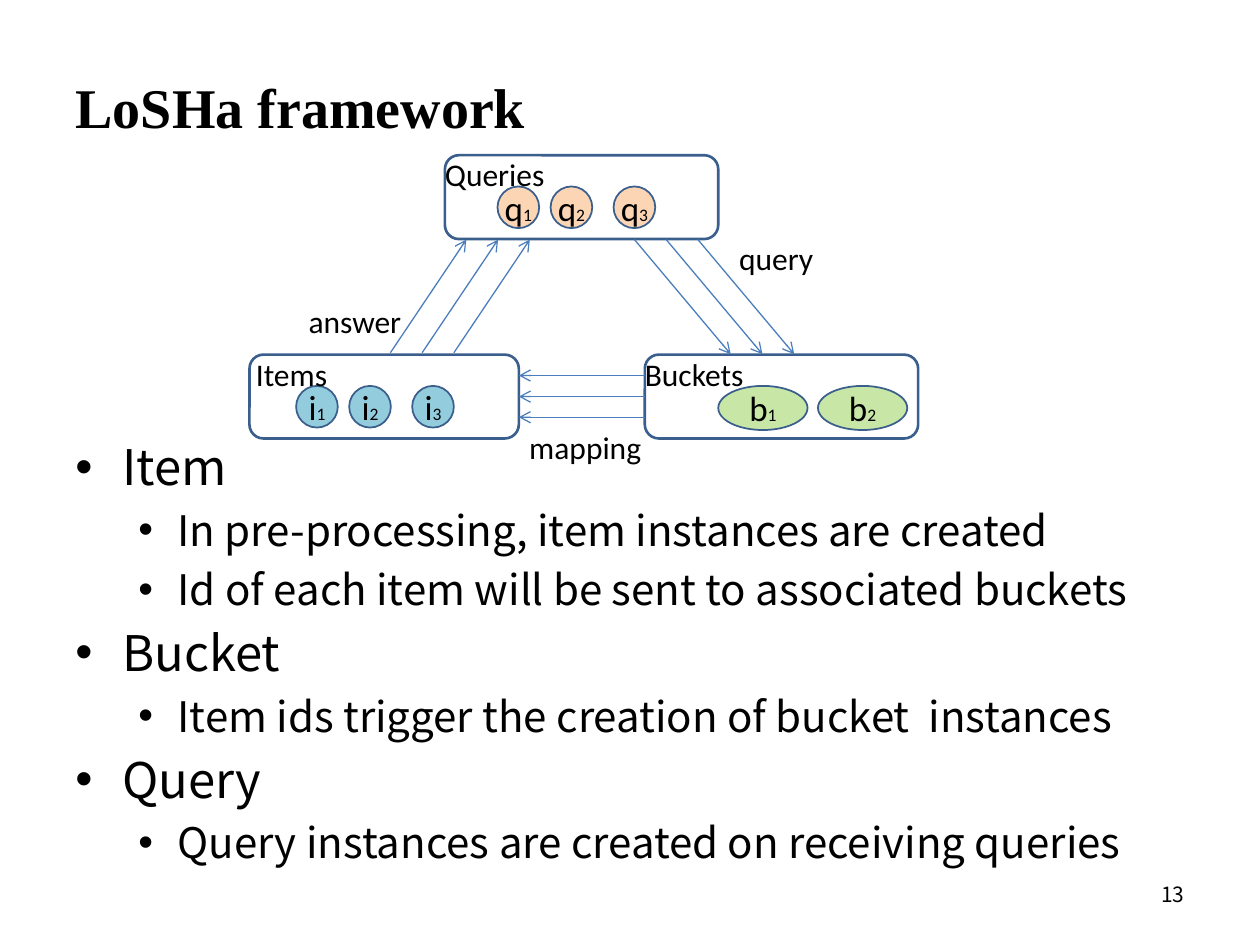
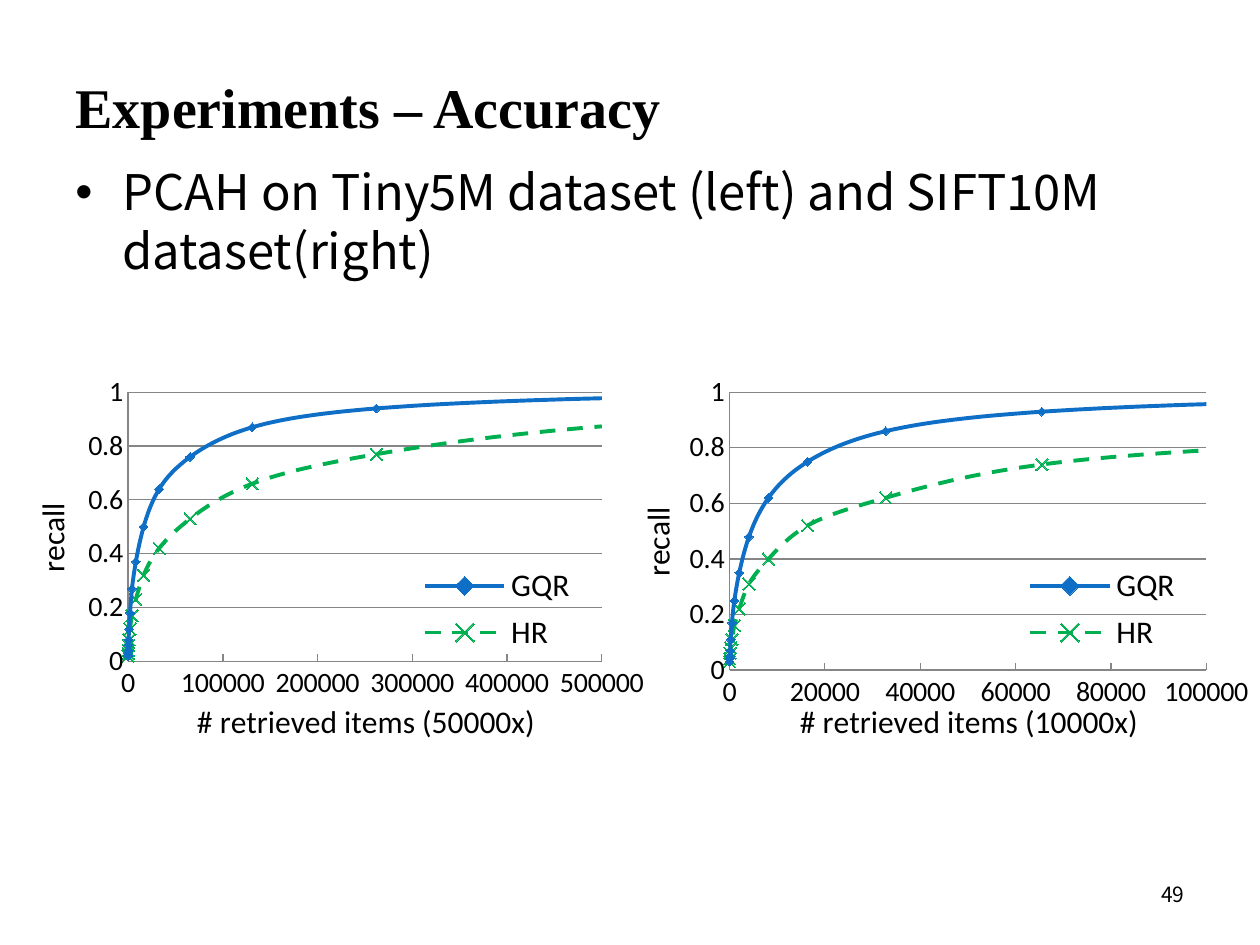
"""Build the LoSHa framework slide and the accuracy experiment slide."""
import lxml.etree
import pptx
import pptx.chart.data
import pptx.dml.color
import pptx.enum.chart
import pptx.enum.dml
import pptx.enum.shapes
import pptx.enum.text
import pptx.oxml.ns
import pptx.util

Cm, Pt, qn = pptx.util.Cm, pptx.util.Pt, pptx.oxml.ns.qn
ALIGN = pptx.enum.text.PP_ALIGN
MIDDLE = pptx.enum.text.MSO_ANCHOR.MIDDLE
SHAPE = pptx.enum.shapes.MSO_SHAPE

TITLE_FONT, BODY_FONT, DIAGRAM_FONT = "Times New Roman", "Noto Sans CJK SC", "Calibri"
BLACK, OUTLINE, ARROW, GRID = "000000", "3A5F8C", "4B7EBC", "868686"
BULLET_LEVELS = [(28, 0.95, 0.95), (24, 2.06, 0.79)]

FRAMEWORK = {
    "title": "LoSHa framework",
    "number": "13",
    "body_top": 8.68,
    "bullets": [
        (0, "Item"),
        (1, "In pre-processing, item instances are created"),
        (1, "Id of each item will be sent to associated buckets"),
        (0, "Bucket"),
        (1, "Item ids trigger the creation of bucket  instances"),
        (0, "Query"),
        (1, "Query instances are created on receiving queries"),
    ],
}
ACCURACY = {
    "title": "Experiments – Accuracy",
    "number": "49",
    "body_top": 3.14,
    "bullets": [(0, "PCAH on Tiny5M dataset (left) and SIFT10M dataset(right)")],
}

BOX_HEIGHT = 1.69
BOXES = [
    {"name": "Queries", "at": (8.97, 3.13), "width": 5.51, "name_indent": 0, "letter": "q",
     "fill": "FCD5B5", "alpha": 100, "node_size": (0.84, 0.84), "offsets": [1.06, 2.13, 3.4]},
    {"name": "Buckets", "at": (13, 7.15), "width": 5.51, "name_indent": 0, "letter": "b",
     "fill": "92D050", "alpha": 50, "node_size": (1.8, 0.89), "offsets": [1.48, 3.49]},
    {"name": "Items", "at": (5.03, 7.15), "width": 5.43, "name_indent": 0.13, "letter": "i",
     "fill": "93CDDD", "alpha": 100, "node_size": (0.84, 0.84), "offsets": [0.94, 2.01, 3.28]},
]
FLOWS = [
    {"name": "query", "label": (14.9, 4.81), "start": (12.79, 4.83), "end": (14.73, 7.14),
     "step": (0.64, 0)},
    {"name": "mapping", "label": (10.67, 8.62), "start": (13, 7.57), "end": (10.46, 7.57),
     "step": (0, 0.42), "joins": ("Buckets", "Items")},
    {"name": "answer", "label": (6.22, 6.08), "start": (7.87, 7.11), "end": (9.4, 4.83),
     "step": (0.64, 0)},
]

CHARTS = [
    {"left": 0.5, "x_title": "# retrieved items (50000x)", "x_max": 500000,
     "plot": (0.164, 0.051, 0.752, 0.712),
     "retrieved": [2 ** power for power in range(24)],
     "GQR": [0.02, 0.02, 0.02, 0.02, 0.02, 0.02, 0.03, 0.04, 0.06, 0.08, 0.12, 0.18, 0.27,
             0.37, 0.5, 0.64, 0.76, 0.87, 0.94, 0.98, 1, 1, 1, 1],
     "HR": [0.02, 0.02, 0.02, 0.02, 0.02, 0.02, 0.02, 0.03, 0.04, 0.06, 0.08, 0.12, 0.17,
            0.23, 0.32, 0.42, 0.53, 0.66, 0.77, 0.88, 0.95, 0.99, 1, 1]},
    {"left": 12.7, "x_title": "# retrieved items (10000x)", "x_max": 100000,
     "plot": (0.158, 0.051, 0.757, 0.735),
     "retrieved": [2 ** power for power in range(24)] + [10000000],
     "GQR": [0.03, 0.03, 0.03, 0.03, 0.03, 0.04, 0.05, 0.07, 0.11, 0.17, 0.25, 0.35, 0.48,
             0.62, 0.75, 0.86, 0.93, 0.97, 0.99, 1, 1, 1, 1, 1, 1],
     "HR": [0.03, 0.03, 0.03, 0.03, 0.03, 0.03, 0.04, 0.06, 0.08, 0.11, 0.16, 0.22, 0.31,
            0.4, 0.52, 0.62, 0.74, 0.82, 0.9, 0.95, 0.98, 1, 1, 1, 1]},
]
MARKERS = pptx.enum.chart.XL_MARKER_STYLE
DASHES = pptx.enum.dml.MSO_LINE
SERIES_STYLES = {
    "GQR": ("0F6FC6", DASHES.SOLID, MARKERS.DIAMOND, 5),
    "HR": ("00B050", DASHES.DASH, MARKERS.X, 7),
}
LEGEND = (0.62, 0.49, 0.26, 0.27)


def color(value):
    """Turn a hex string into a colour."""
    return pptx.dml.color.RGBColor.from_string(value)


def style_font(font, name, size, bold=False):
    """Set the face, size and weight of black text."""
    font.name, font.size, font.bold = name, Pt(size), bold
    font.color.rgb = color(BLACK)


def style_line(line, value, width):
    """Set a line's colour and width."""
    line.color.rgb = color(value)
    line.width = Pt(width)


def add_run(paragraph, text, name, size, bold=False):
    """Append one formatted run."""
    run = paragraph.add_run()
    run.text = text
    style_font(run.font, name, size, bold)


def clear_insets(frame):
    """Remove all inner margins of a text frame."""
    frame.margin_left = frame.margin_top = frame.margin_right = frame.margin_bottom = 0


def add_text_box(slide, left, top, width, height):
    """Add a wrapping text box and return its frame."""
    frame = slide.shapes.add_textbox(Cm(left), Cm(top), Cm(width), Cm(height)).text_frame
    frame.word_wrap = True
    return frame


def add_label(slide, text, left, top):
    """Add a diagram label without margins."""
    frame = add_text_box(slide, left, top, 2.54, 0.76)
    clear_insets(frame)
    add_run(frame.paragraphs[0], text, DIAGRAM_FONT, 18)


def add_bullets(slide, bullets, top):
    """Add the two-level bulleted body text."""
    frame = add_text_box(slide, 1.27, top, 22.86, 17.12 - top)
    for index, (level, text) in enumerate(bullets):
        paragraph = frame.add_paragraph() if index else frame.paragraphs[0]
        size, margin, hanging = BULLET_LEVELS[level]
        properties = paragraph._p.get_or_add_pPr()
        properties.set("marL", str(Cm(margin)))
        properties.set("indent", str(-Cm(hanging)))
        lxml.etree.SubElement(properties, qn("a:buFont")).set("typeface", "Arial")
        lxml.etree.SubElement(properties, qn("a:buChar")).set("char", "•")
        paragraph.level = level
        paragraph.space_before = Pt(5 if index else 0)
        add_run(paragraph, text, BODY_FONT, size)


def add_slide(presentation, content):
    """Add a slide with its title, bullets and page number."""
    slide = presentation.slides.add_slide(presentation.slide_layouts[5])
    title = slide.shapes.title
    title.left, title.top, title.width, title.height = Cm(1.27), Cm(1.32), Cm(22.86), Cm(1.63)
    title.text_frame.vertical_anchor = MIDDLE
    title.text_frame.auto_size = pptx.enum.text.MSO_AUTO_SIZE.NONE
    paragraph = title.text_frame.paragraphs[0]
    paragraph.alignment = ALIGN.LEFT
    add_run(paragraph, content["title"], TITLE_FONT, 32, True)
    add_bullets(slide, content["bullets"], content["body_top"])
    number = add_text_box(slide, 18.21, 17.52, 5.92, 1.02)
    number.vertical_anchor = MIDDLE
    number.paragraphs[0].alignment = ALIGN.RIGHT
    add_run(number.paragraphs[0], content["number"], BODY_FONT, 12)
    return slide


def add_outlined_shape(slide, kind, left, top, width, height, line_width):
    """Add an unfilled preset shape with the diagram outline."""
    shape = slide.shapes.add_shape(kind, Cm(left), Cm(top), Cm(width), Cm(height))
    shape.shadow.inherit = False
    shape.fill.background()
    style_line(shape.line, OUTLINE, line_width)
    return shape


def add_box(slide, box):
    """Add a named box with its numbered nodes."""
    left, top = box["at"]
    shape = add_outlined_shape(slide, SHAPE.ROUNDED_RECTANGLE, left, top,
                               box["width"], BOX_HEIGHT, 1.5)
    for number, offset in enumerate(box["offsets"], 1):
        node = add_outlined_shape(slide, SHAPE.OVAL, left + offset, top + 0.63,
                                  *box["node_size"], 1)
        node.fill.solid()
        node.fill.fore_color.rgb = color(box["fill"])
        if box["alpha"] < 100:
            fill_color = node._element.spPr.find(qn("a:solidFill")).find(qn("a:srgbClr"))
            lxml.etree.SubElement(fill_color, qn("a:alpha")).set("val", str(box["alpha"] * 1000))
        frame = node.text_frame
        clear_insets(frame)
        frame.vertical_anchor = MIDDLE
        frame.paragraphs[0].alignment = ALIGN.CENTER
        add_run(frame.paragraphs[0], box["letter"], DIAGRAM_FONT, 20)
        add_run(frame.paragraphs[0], str(number), DIAGRAM_FONT, 10)
    add_label(slide, box["name"], left + box["name_indent"], top)
    return shape


def add_flow(slide, flow, boxes):
    """Add three parallel arrows and their label."""
    for index in range(3):
        shift_x, shift_y = (index * step for step in flow["step"])
        (start_x, start_y), (end_x, end_y) = flow["start"], flow["end"]
        connector = slide.shapes.add_connector(
            pptx.enum.shapes.MSO_CONNECTOR.STRAIGHT,
            Cm(start_x + shift_x), Cm(start_y + shift_y), Cm(end_x + shift_x), Cm(end_y + shift_y))
        if index == 1 and "joins" in flow:
            source, target = flow["joins"]
            connector.begin_connect(boxes[source], 1)
            connector.end_connect(boxes[target], 3)
        style_line(connector.line, ARROW, 0.75)
        properties = connector._element.spPr
        lxml.etree.SubElement(properties.find(qn("a:ln")), qn("a:tailEnd")).set("type", "arrow")
        lxml.etree.SubElement(properties, qn("a:effectLst"))
    add_label(slide, flow["name"], *flow["label"])


def make_layout(parent, bounds, inner=False):
    """Replace a chart part's layout by fixed fractions and return it."""
    for old_layout in parent.findall(qn("c:layout")):
        parent.remove(old_layout)
    layout = lxml.etree.SubElement(parent, qn("c:layout"))
    manual = lxml.etree.SubElement(layout, qn("c:manualLayout"))
    settings = [("layoutTarget", "inner")] if inner else []
    settings += [("xMode", "edge"), ("yMode", "edge"), *zip("xywh", bounds)]
    for tag, value in settings:
        lxml.etree.SubElement(manual, qn("c:" + tag)).set("val", str(value))
    return layout


def style_axis(axis, title, maximum, grid):
    """Format an axis that has five equal steps from zero."""
    axis.minimum_scale, axis.maximum_scale, axis.major_unit = 0, maximum, maximum / 5
    axis.has_major_gridlines = grid
    if grid:
        style_line(axis.major_gridlines.format.line, GRID, 0.75)
    axis.major_tick_mark = pptx.enum.chart.XL_TICK_MARK.INSIDE
    axis.minor_tick_mark = pptx.enum.chart.XL_TICK_MARK.NONE
    style_line(axis.format.line, GRID, 0.75)
    style_font(axis.tick_labels.font, DIAGRAM_FONT, 16)
    axis.tick_labels.number_format = "General"
    axis.tick_labels.number_format_is_linked = False
    add_run(axis.axis_title.text_frame.paragraphs[0], title, DIAGRAM_FONT, 18)


def make_recall_data(content):
    """Stack both series on one column of retrieved items, with gaps between."""
    data = pptx.chart.data.XyChartData()
    gap = [None] * len(content["retrieved"])
    for name, recalls in (("GQR", content["GQR"] + gap), ("HR", gap + content["HR"])):
        series = data.add_series(name)
        for retrieved, recall in zip(content["retrieved"] * 2, recalls):
            series.add_data_point(retrieved, recall)
    return data


def add_recall_chart(slide, content):
    """Add a smooth scatter chart of recall against retrieved items."""
    chart = slide.shapes.add_chart(
        pptx.enum.chart.XL_CHART_TYPE.XY_SCATTER_SMOOTH, Cm(content["left"]), Cm(7.52),
        Cm(12.7), Cm(7.62), make_recall_data(content)).chart
    for point in chart.element.findall(".//" + qn("c:pt")):
        if point.find(qn("c:v")).text in (None, "", "None"):
            point.getparent().remove(point)
    style_font(chart.font, DIAGRAM_FONT, 10)
    chart.has_title = False
    chart.plots[0].vary_by_categories = False
    style_axis(chart.category_axis, content["x_title"], content["x_max"], False)
    style_axis(chart.value_axis, "recall", 1, True)
    for series in chart.plots[0].series:
        value, dash, marker, size = SERIES_STYLES[series.name]
        series._element.get_or_add_smooth().set("val", "1")
        style_line(series.format.line, value, 2.25)
        series.format.line.dash_style = dash
        series.marker.style, series.marker.size = marker, size
        series.marker.format.fill.solid()
        series.marker.format.fill.fore_color.rgb = color(value)
        style_line(series.marker.format.line, value, 0.75)
    chart.has_legend = True
    legend = chart.legend
    legend.position = pptx.enum.chart.XL_LEGEND_POSITION.RIGHT
    legend.include_in_layout = True
    style_font(legend.font, DIAGRAM_FONT, 18)
    legend_element = legend._element
    legend_element.find(qn("c:legendPos")).addnext(make_layout(legend_element, LEGEND))
    plot_area = chart.element.find(".//" + qn("c:plotArea"))
    plot_area.insert(0, make_layout(plot_area, content["plot"], True))


def main():
    """Build and save the presentation."""
    presentation = pptx.Presentation()
    presentation.slide_width, presentation.slide_height = Cm(25.4), Cm(19.05)
    framework = add_slide(presentation, FRAMEWORK)
    boxes = {box["name"]: add_box(framework, box) for box in BOXES}
    for flow in FLOWS:
        add_flow(framework, flow, boxes)
    accuracy = add_slide(presentation, ACCURACY)
    for content in CHARTS:
        add_recall_chart(accuracy, content)
    presentation.save("out.pptx")


if __name__ == "__main__":
    main()
